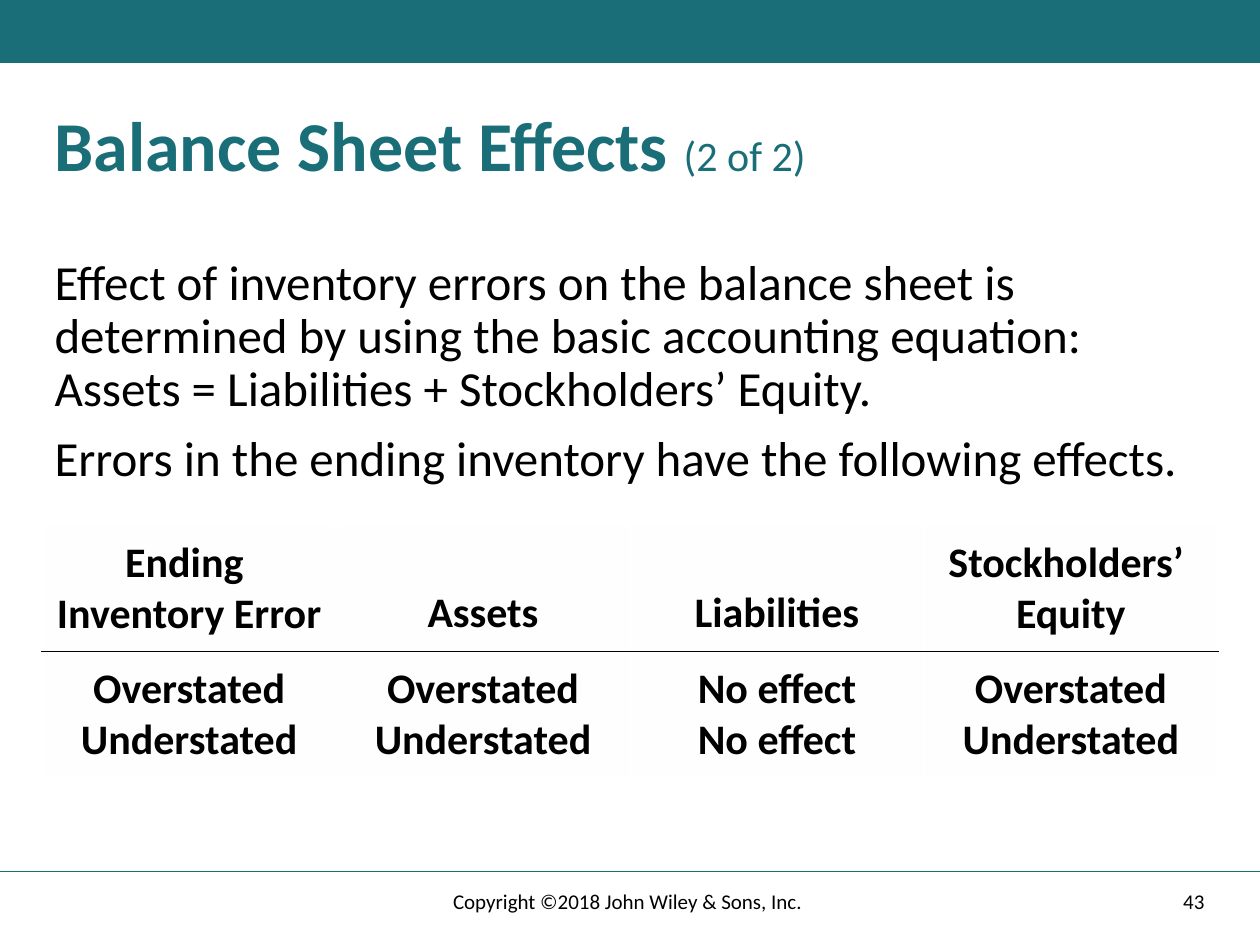
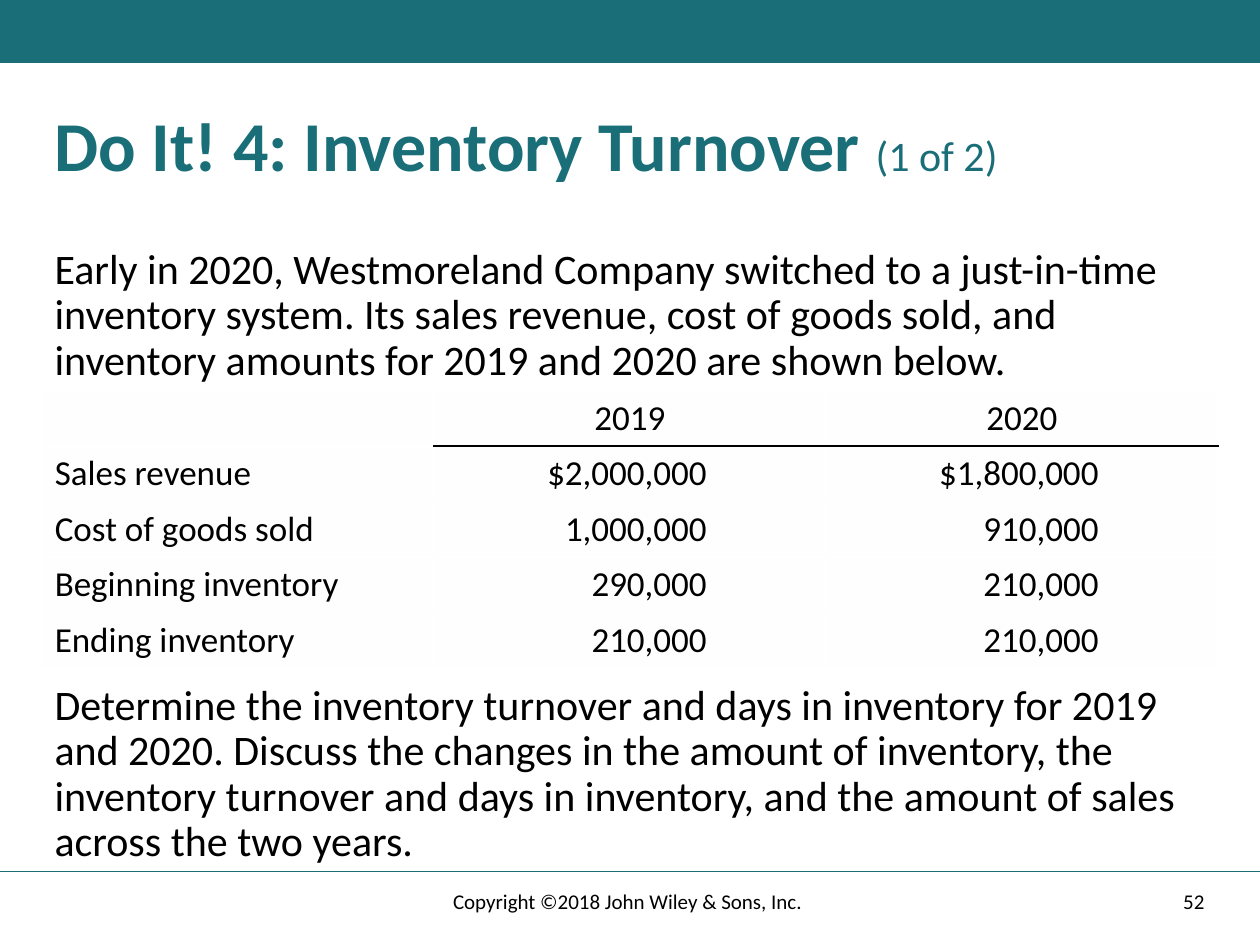
"""Build two accounting slides about inventory errors and inventory turnover."""
from lxml import etree
from pptx import Presentation
from pptx.dml.color import RGBColor
from pptx.enum.shapes import MSO_CONNECTOR, MSO_SHAPE
from pptx.enum.text import MSO_ANCHOR, PP_ALIGN
from pptx.oxml.ns import qn
from pptx.util import Cm, Pt

STRAIGHT = MSO_CONNECTOR.STRAIGHT
RECTANGLE = MSO_SHAPE.RECTANGLE
TOP, MIDDLE, BOTTOM = MSO_ANCHOR.TOP, MSO_ANCHOR.MIDDLE, MSO_ANCHOR.BOTTOM
LEFT, CENTER, RIGHT = PP_ALIGN.LEFT, PP_ALIGN.CENTER, PP_ALIGN.RIGHT

COLORS = {"teal": "196E78", "black": "000000", "white": "FFFFFF", "cell": "FFFEFE"}
FONT = "Calibri"
SLIDE_WIDTH, SLIDE_HEIGHT = Cm(25.4), Cm(19.05)
MARGIN, CONTENT_WIDTH = Cm(0.85), Cm(23.7)
COPYRIGHT = "Copyright ©2018 John Wiley & Sons, Inc. "


def rgb(name):
    """Return the named palette colour."""
    return RGBColor.from_string(COLORS[name])


def add_run(paragraph, text, size, color="black", bold=False):
    """Append one formatted run to a paragraph."""
    run = paragraph.add_run()
    run.text = text
    run.font.name = FONT
    run.font.size = Pt(size)
    run.font.bold = bold
    run.font.color.rgb = rgb(color)


def write_text(frame, text, size, color="black", bold=False, align=LEFT,
               anchor=TOP, line_spacing=1.0, space_before=0):
    """Fill a text frame with one paragraph per line and return the last one."""
    frame.word_wrap = True
    frame.vertical_anchor = anchor
    for index, line in enumerate(text.split("\n")):
        paragraph = frame.add_paragraph() if index else frame.paragraphs[0]
        paragraph.alignment = align
        paragraph.line_spacing = line_spacing
        paragraph.space_before = Pt(space_before if index else 0)
        add_run(paragraph, line, size, color, bold)
    return paragraph


def add_text(slide, left, top, width, height, text, **text_format):
    """Add a text box and return its last paragraph."""
    box = slide.shapes.add_textbox(left, top, width, height)
    return write_text(box.text_frame, text, **text_format)


def add_body(slide, top, height, text, size):
    """Add running text across the content width."""
    add_text(slide, MARGIN, top, CONTENT_WIDTH, height, text, size=size,
             line_spacing=0.9, space_before=10)


def add_frame(slide, number):
    """Add the top band, footer line, slide number and copyright line."""
    band = slide.shapes.add_shape(RECTANGLE, 0, 0, SLIDE_WIDTH, Cm(1.27))
    band.shadow.inherit = False
    band.fill.solid()
    band.fill.fore_color.rgb = rgb("teal")
    band.line.fill.background()

    footer_line = slide.shapes.add_connector(STRAIGHT, 0, Cm(17.57), SLIDE_WIDTH, Cm(17.57))
    footer_line.line.color.rgb = rgb("teal")
    footer_line.line.width = Pt(1)
    etree.SubElement(footer_line._element.spPr, qn("a:effectLst"))

    footer_top, footer_height = Cm(17.65), Cm(1.02)
    add_text(slide, Cm(17.93), footer_top, Cm(6.6), footer_height, str(number),
             size=12, align=RIGHT, anchor=MIDDLE)
    add_text(slide, Cm(8.41), footer_top, Cm(8.58), footer_height, COPYRIGHT,
             size=12, align=CENTER, anchor=MIDDLE)


def add_titled_slide(presentation, title, part, number):
    """Add a blank slide with the shared frame and a two-part title."""
    slide = presentation.slides.add_slide(presentation.slide_layouts[6])
    add_frame(slide, number)
    paragraph = add_text(slide, MARGIN, Cm(2.11), CONTENT_WIDTH, Cm(2.74), title + " ",
                         size=40, color="teal", bold=True, line_spacing=0.9)
    add_run(paragraph, part, 24, "teal")
    return slide


def style_cell(cell, top="white", bottom="white"):
    """Give a cell its thin borders and its fill."""
    properties = cell._tc.get_or_add_tcPr()
    borders = {"a:lnL": "white", "a:lnR": "white", "a:lnT": top, "a:lnB": bottom}
    for tag, color in borders.items():
        line = etree.SubElement(properties, qn(tag), w=str(Pt(1)))
        fill = etree.SubElement(line, qn("a:solidFill"))
        etree.SubElement(fill, qn("a:srgbClr"), val=COLORS[color])
    cell.fill.solid()
    cell.fill.fore_color.rgb = rgb("cell")


def add_table(slide, top, row_height, rows, first_ruled=0):
    """Add a plain table with a rule under its header and yield each cell to fill."""
    column_count = len(rows[0])
    table = slide.shapes.add_table(len(rows), column_count, MARGIN, top, CONTENT_WIDTH,
                                   row_height * len(rows)).table
    table.first_row = table.horz_banding = False
    for row_index, row in enumerate(rows):
        table.rows[row_index].height = row_height
        for column_index, text in enumerate(row):
            cell = table.cell(row_index, column_index)
            ruled = column_index >= first_ruled
            style_cell(cell,
                       top="black" if ruled and row_index == 1 else "white",
                       bottom="black" if ruled and row_index == 0 else "white")
            yield row_index, column_index, cell, text


def add_error_table(slide):
    """Add the table of effects of ending inventory errors."""
    rows = [
        ["Ending \nInventory Error", "Assets", "Liabilities", "Stockholders’ \nEquity"],
        ["Overstated\nUnderstated", "Overstated\nUnderstated",
         "No effect\nNo effect", "Overstated\nUnderstated"],
    ]
    for row, column, cell, text in add_table(slide, Cm(10.59), Cm(2.54), rows):
        cell.margin_top = cell.margin_bottom = Cm(0.25)
        cell.margin_left = cell.margin_right = Cm(0.25 if column == 3 else 0)
        write_text(cell.text_frame, text, size=24, bold=True, align=CENTER)
        cell.vertical_anchor = MIDDLE if row else BOTTOM


def add_amount_table(slide):
    """Add the table of sales and inventory amounts for both years."""
    rows = [
        ["", "2019", "2020"],
        ["Sales revenue", "$2,000,000", "$1,800,000"],
        ["Cost of goods sold", "1,000,000", "910,000"],
        ["Beginning inventory", "290,000", "210,000"],
        ["Ending inventory", "210,000", "210,000"],
    ]
    for row, column, cell, text in add_table(slide, Cm(7.87), Cm(1.12), rows, first_ruled=1):
        align = LEFT if column == 0 else RIGHT if row else CENTER
        if align == RIGHT:
            cell.margin_right = Cm(2.4)
        if text:
            write_text(cell.text_frame, text, size=20, align=align)


def main():
    """Build and save the presentation."""
    presentation = Presentation()
    presentation.slide_width, presentation.slide_height = SLIDE_WIDTH, SLIDE_HEIGHT

    effects = add_titled_slide(presentation, "Balance Sheet Effects", "(2 of 2)", 43)
    add_body(effects, Cm(5.08), Cm(4.45),
             "Effect of inventory errors on the balance sheet is determined by using the "
             "basic accounting equation: Assets = Liabilities + Stockholders’ Equity.\n"
             "Errors in the ending inventory have the following effects.", 28)
    add_error_table(effects)

    turnover = add_titled_slide(presentation, "Do It! 4: Inventory Turnover", "(1 of 2)", 52)
    add_body(turnover, Cm(4.88), Cm(2.87),
             "Early in 2020, Westmoreland Company switched to a just-in-time inventory "
             "system. Its sales revenue, cost of goods sold, and inventory amounts for "
             "2019 and 2020 are shown below.", 24)
    add_amount_table(turnover)
    add_body(turnover, Cm(13.67), Cm(3.76),
             "Determine the inventory turnover and days in inventory for 2019 and 2020. "
             "Discuss the changes in the amount of inventory, the inventory turnover and "
             "days in inventory, and the amount of sales across the two years.", 24)

    presentation.save("out.pptx")


if __name__ == "__main__":
    main()
